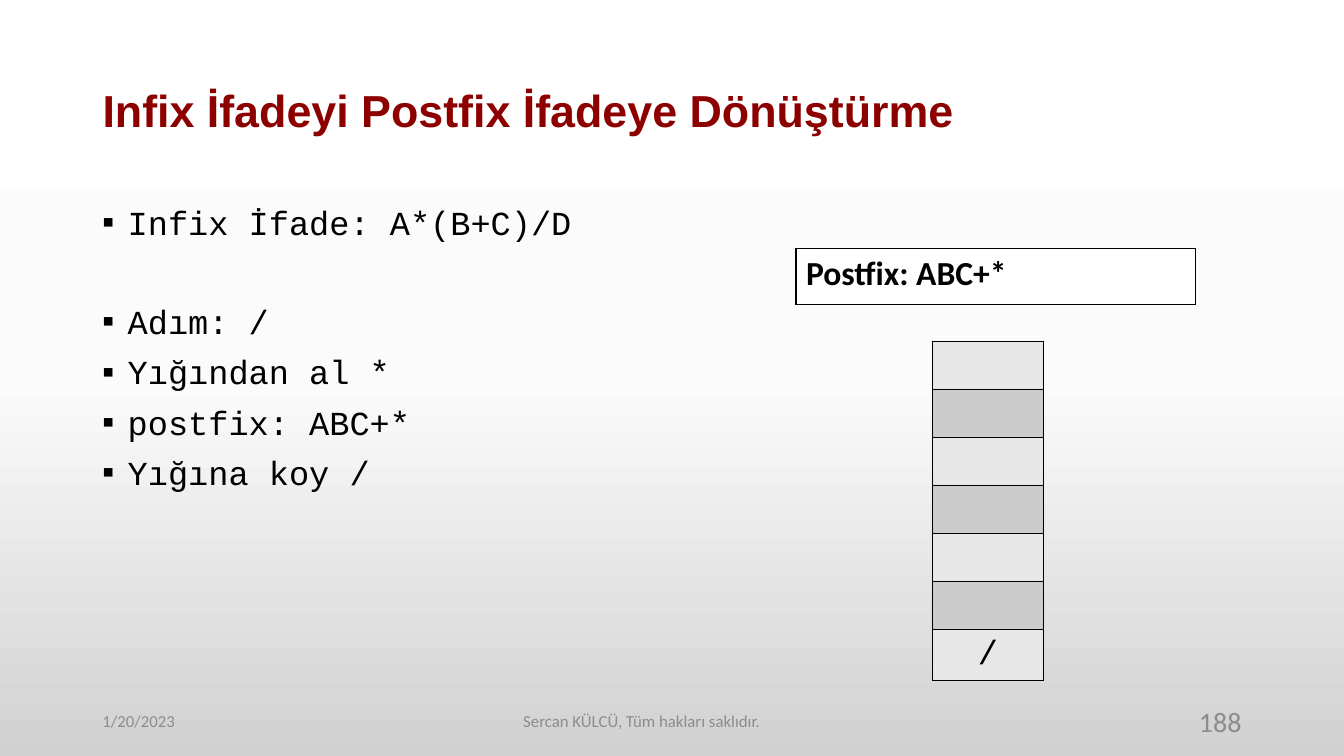
"""Build the infix to postfix conversion slide with its stack table."""
from copy import deepcopy

from lxml.etree import SubElement
from pptx import Presentation
from pptx.dml.color import RGBColor
from pptx.enum.text import MSO_ANCHOR, PP_ALIGN
from pptx.oxml import parse_xml
from pptx.oxml.ns import nsdecls, qn
from pptx.util import Cm, Pt

BLACK = RGBColor(0x00, 0x00, 0x00)
WHITE = RGBColor(0xFF, 0xFF, 0xFF)
DARK_RED = RGBColor(0x8C, 0x00, 0x00)
GREY = RGBColor(0x8C, 0x8C, 0x8C)
LIGHT_BAND = RGBColor(0xE7, 0xE7, 0xE7)
DARK_BAND = RGBColor(0xCC, 0xCC, 0xCC)
BG_MIDDLE = RGBColor(0xFB, 0xFB, 0xFB)
BG_BOTTOM = RGBColor(0xD1, 0xD1, 0xD1)


def add_run(p, text, font, size, color, bold=False):
    r = p.add_run()
    r.text = text
    r.font.name = font
    r.font.size = Pt(size)
    r.font.color.rgb = color
    r.font.bold = bold


def add_column(s, left, top, width, row_height, fills):
    table = s.shapes.add_table(len(fills), 1, left, top, width, row_height * len(fills)).table
    table.first_row = table.horz_banding = False
    for i, color in enumerate(fills):
        cell = table.cell(i, 0)
        cell.fill.solid()
        cell.fill.fore_color.rgb = color
        tcPr = cell._tc.get_or_add_tcPr()
        for n, side in enumerate("LRTB"):
            tcPr.insert(n, parse_xml(
                f'<a:ln{side} {nsdecls("a")} w="12700"><a:solidFill>'
                f'<a:srgbClr val="{BLACK}"/></a:solidFill></a:ln{side}>'))
    return table


prs = Presentation()
prs.slide_width, prs.slide_height = Cm(33.87), Cm(19.05)
s = prs.slides.add_slide(prs.slide_layouts[5])

fill = s.background.fill
fill.gradient()
fill.gradient_angle = 270
gsLst = s.background._cSld.find(".//" + qn("a:gsLst"))
gsLst.insert(1, deepcopy(gsLst[0]))
for stop, position, color in zip(fill.gradient_stops, (0, 0.5, 1), (WHITE, BG_MIDDLE, BG_BOTTOM)):
    stop.position = position
    stop.color.rgb = color

title = s.shapes.title
title.left, title.top, title.width, title.height = Cm(2.33), Cm(1.01), Cm(29.21), Cm(3.68)
tf = title.text_frame
tf.vertical_anchor = MSO_ANCHOR.MIDDLE
p = tf.paragraphs[0]
p.alignment = PP_ALIGN.LEFT
p.line_spacing = 0.9
add_run(p, "Infix İfadeyi Postfix İfadeye Dönüştürme", "Arial", 32, DARK_RED, True)

steps = [
    ("Infix İfade: A*(B+C)/D", 0),
    ("Adım: /", 45),
    ("Yığından al *", 10),
    ("postfix: ABC+*", 10),
    ("Yığına koy /", 10),
]
tf = s.shapes.add_textbox(Cm(2.33), Cm(5.07), Cm(29.21), Cm(13)).text_frame
tf.word_wrap = True
for i, (text, space) in enumerate(steps):
    p = tf.add_paragraph() if i else tf.paragraphs[0]
    p.line_spacing = 0.9
    p.space_before = Pt(space)
    pPr = p._p.get_or_add_pPr()
    pPr.set("marL", str(Cm(0.64)))
    pPr.set("indent", str(-Cm(0.64)))
    SubElement(pPr, qn("a:buFont"), typeface="Calibri")
    SubElement(pPr, qn("a:buChar"), char="▪")
    add_run(p, text, "Courier New", 24, BLACK)

footers = [
    ("1/20/2023", 2.33, 7.62, 12, PP_ALIGN.LEFT),
    ("Sercan KÜLCÜ, Tüm hakları saklıdır.", 6.55, 19.25, 12, PP_ALIGN.CENTER),
    ("188", 23.92, 7.62, 20, PP_ALIGN.RIGHT),
]
for text, left, width, size, align in footers:
    tf = s.shapes.add_textbox(Cm(left), Cm(17.66), Cm(width), Cm(1.01)).text_frame
    tf.word_wrap = True
    tf.vertical_anchor = MSO_ANCHOR.MIDDLE
    p = tf.paragraphs[0]
    p.alignment = align
    add_run(p, text, "Calibri", size, GREY)

bands = [DARK_BAND if i % 2 else LIGHT_BAND for i in range(7)]
stack = add_column(s, Cm(23.5), Cm(8.61), Cm(2.79), Cm(1.21), bands)
top_item = stack.cell(6, 0)
top_item.vertical_anchor = MSO_ANCHOR.MIDDLE
p = top_item.text_frame.paragraphs[0]
p.alignment = PP_ALIGN.CENTER
add_run(p, "/", "Courier New", 24, BLACK)

postfix = add_column(s, Cm(20.06), Cm(6.26), Cm(10.06), Cm(1.42), [WHITE])
p = postfix.cell(0, 0).text_frame.paragraphs[0]
add_run(p, "Postfix: ABC+*", "Calibri", 24, BLACK, True)

prs.save("out.pptx")
